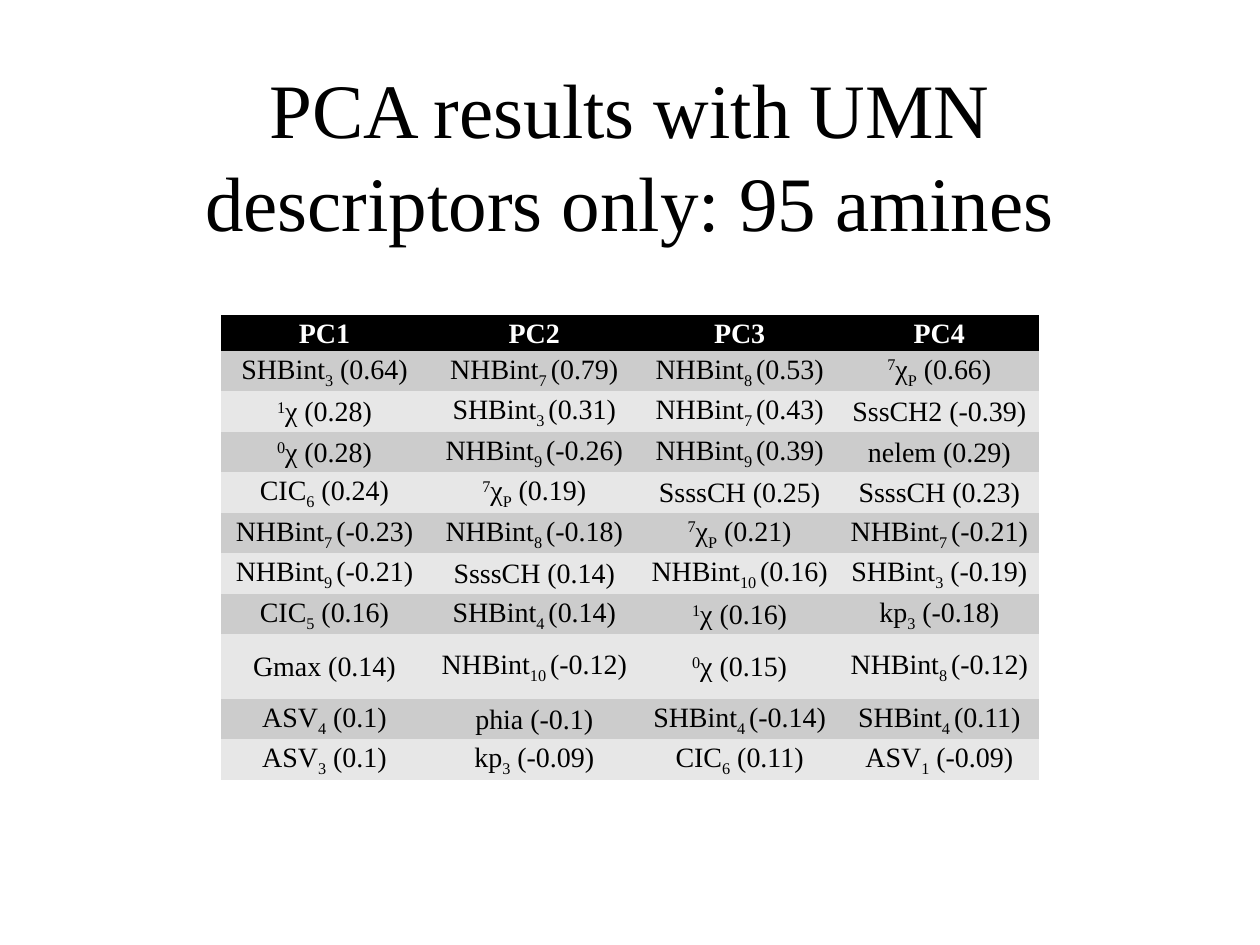
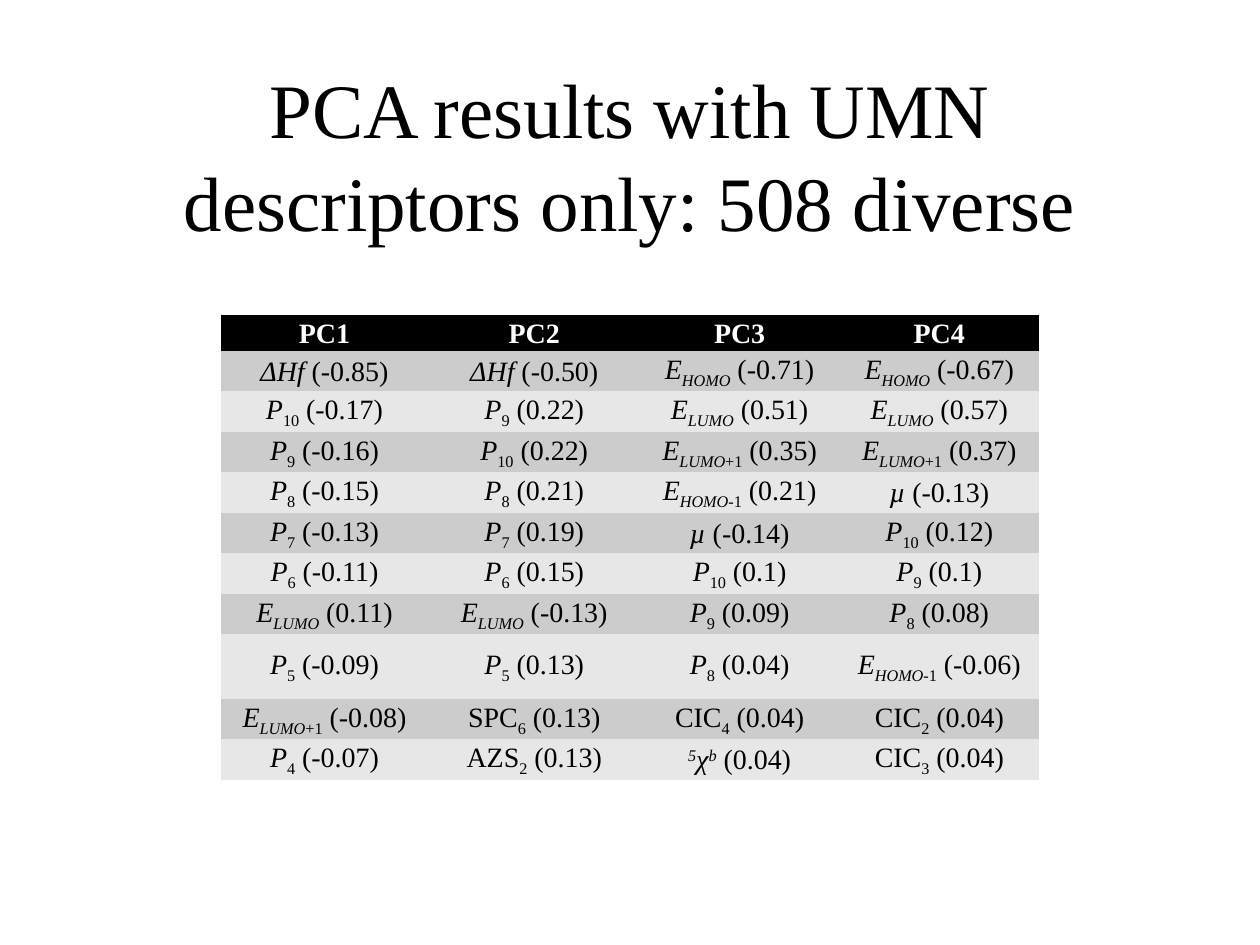
from pptx import Presentation
from pptx.dml.color import RGBColor
from pptx.enum import text
from pptx.util import Inches, Pt

BLACK = RGBColor(0x00, 0x00, 0x00)
WHITE = RGBColor(0xFF, 0xFF, 0xFF)
DARK_BAND = RGBColor(0xCC, 0xCC, 0xCC)
LIGHT_BAND = RGBColor(0xE7, 0xE7, 0xE7)

FONT = "Times New Roman"
PLAIN_TABLE_STYLE = "{2D5ABB26-0587-4C30-8999-92F81FD0307C}"
COLUMN_WIDTHS = [1.65, 1.68, 1.58, 1.59]
ROW_HEIGHT = 0.25
TALL_ROW, TALL_HEIGHT = 8, 0.51
LINE_SPACING = 1.06

# Marks: _ lowers, ^ raises, | returns to the baseline, * switches italics.
BASELINES = {"_": "-25000", "^": "30000", "|": "0"}
COMPONENTS = ["PC1", "PC2", "PC3", "PC4"]

AMINES = [
    ["SHBint_3| (0.64)", "NHBint_7 |(0.79)", "NHBint_8 |(0.53)", "^7|χ_P| (0.66)"],
    ["^1|χ (0.28)", "SHBint_3 |(0.31)", "NHBint_7 |(0.43)", "SssCH2 (-0.39)"],
    ["^0|χ (0.28)", "NHBint_9 |(-0.26)", "NHBint_9 |(0.39)", "nelem (0.29)"],
    ["CIC_6| (0.24)", "^7|χ_P| (0.19)", "SsssCH (0.25)", "SsssCH (0.23)"],
    ["NHBint_7 |(-0.23)", "NHBint_8 |(-0.18)", "^7|χ_P| (0.21)", "NHBint_7 |(-0.21)"],
    ["NHBint_9 |(-0.21)", "SsssCH (0.14)", "NHBint_10 |(0.16)", "SHBint_3| (-0.19)"],
    ["CIC_5| (0.16)", "SHBint_4 |(0.14)", "^1|χ (0.16)", "kp_3| (-0.18)"],
    ["Gmax (0.14)", "NHBint_10 |(-0.12)", "^0|χ (0.15)", "NHBint_8 |(-0.12)"],
    ["ASV_4| (0.1)", "phia (-0.1)", "SHBint_4 |(-0.14)", "SHBint_4 |(0.11)"],
    ["ASV_3| (0.1)", "kp_3| (-0.09)", "CIC_6| (0.11)", "ASV_1| (-0.09)"],
]
DIVERSE = [
    ["*ΔHf* (-0.85)", "*ΔHf* (-0.50)", "*E_HOMO*| (-0.71)", "*E_HOMO*| (-0.67)"],
    ["*P*_10| (-0.17)", "*P*_9| (0.22)", "*E_LUMO*| (0.51)", "*E_LUMO*| (0.57)"],
    ["*P*_9| (-0.16)", "*P*_10| (0.22)", "*E_LUMO*+1| (0.35)", "*E_LUMO*+1| (0.37)"],
    ["*P*_8| (-0.15)", "*P*_8| (0.21)", "*E_HOMO*-1| (0.21)", "*µ* (-0.13)"],
    ["*P*_7| (-0.13)", "*P*_7| (0.19)", "*µ* (-0.14)", "*P*_10| (0.12)"],
    ["*P*_6| (-0.11)", "*P*_6| (0.15)", "*P*_10| (0.1)", "*P*_9| (0.1)"],
    ["*E_LUMO*| (0.11)", "*E_LUMO*| (-0.13)", "*P*_9| (0.09)", "*P*_8| (0.08)"],
    ["*P*_5| (-0.09)", "*P*_5| (0.13)", "*P*_8| (0.04)", "*E_HOMO*-1| (-0.06)"],
    ["*E_LUMO*+1| (-0.08)", "SPC_6| (0.13)", "CIC_4| (0.04)", "CIC_2| (0.04)"],
    ["*P*_4| (-0.07)", "AZS_2| (0.13)", "*^5|χ^b*| (0.04)", "CIC_3| (0.04)"],
]


def split_marks(marked):
    """Yield (text, baseline, italic) for each stretch between marks."""
    stretch, baseline, italic = "", "0", False
    for char in marked:
        if char not in "_^|*":
            stretch += char
            continue
        if stretch:
            yield stretch, baseline, italic
        stretch = ""
        if char == "*":
            italic = not italic
        else:
            baseline = BASELINES[char]
    if stretch:
        yield stretch, baseline, italic


class Deck:
    """Holds the shared style and the slide being filled."""

    def __init__(self):
        self.presentation = Presentation()
        self.presentation.slide_width = Inches(10)
        self.presentation.slide_height = Inches(7.5)
        self.slide = None

    def new_slide(self):
        blank = self.presentation.slide_layouts[6]
        self.slide = self.presentation.slides.add_slide(blank)

    def style(self, paragraph, size, color, bold=False):
        paragraph.alignment = text.PP_ALIGN.CENTER
        font = paragraph.font
        font.name, font.size, font.bold = FONT, Pt(size), bold
        font.color.rgb = color

    def title(self, wording):
        box = self.slide.shapes.add_textbox(
            Inches(0.75), Inches(0.14), Inches(8.5), Inches(2.17))
        frame = box.text_frame
        frame.word_wrap = True
        frame.vertical_anchor = text.MSO_ANCHOR.MIDDLE
        frame.text = wording
        self.style(frame.paragraphs[0], 44, BLACK)

    def cell(self, cell, marked, fill, color, bold):
        cell.fill.solid()
        cell.fill.fore_color.rgb = fill
        cell.vertical_anchor = text.MSO_ANCHOR.MIDDLE
        cell.margin_left = cell.margin_right = Inches(0.07)
        cell.margin_top = cell.margin_bottom = 0
        paragraph = cell.text_frame.paragraphs[0]
        self.style(paragraph, 16, color, bold)
        paragraph.line_spacing = LINE_SPACING
        for wording, baseline, italic in split_marks(marked):
            run = paragraph.add_run()
            run.text = wording
            if italic:
                run.font.italic = True
            if baseline != "0":
                run._r.get_or_add_rPr().set("baseline", baseline)

    def loadings_table(self, loadings):
        """Add the table of descriptor loadings under the component names."""
        rows = [COMPONENTS] + loadings
        frame = self.slide.shapes.add_table(
            len(rows), len(COMPONENTS),
            Inches(1.75), Inches(2.5), Inches(6.5), Inches(3.39))
        table = frame.table
        table.first_row = table.horz_banding = False
        table._tbl.tblPr.find("{*}tableStyleId").text = PLAIN_TABLE_STYLE
        for column, width in zip(table.columns, COLUMN_WIDTHS):
            column.width = Inches(width)
        for r, row in enumerate(rows):
            table.rows[r].height = Inches(TALL_HEIGHT if r == TALL_ROW else ROW_HEIGHT)
            header = r == 0
            band = BLACK if header else DARK_BAND if r % 2 else LIGHT_BAND
            for c, marked in enumerate(row):
                self.cell(table.cell(r, c), marked, band,
                          WHITE if header else BLACK, header)


def main():
    deck = Deck()
    for compounds, loadings in [("95 amines", AMINES), ("508 diverse", DIVERSE)]:
        deck.new_slide()
        deck.title(f"PCA results with UMN descriptors only: {compounds}")
        deck.loadings_table(loadings)
    deck.presentation.save("out.pptx")


if __name__ == "__main__":
    main()
